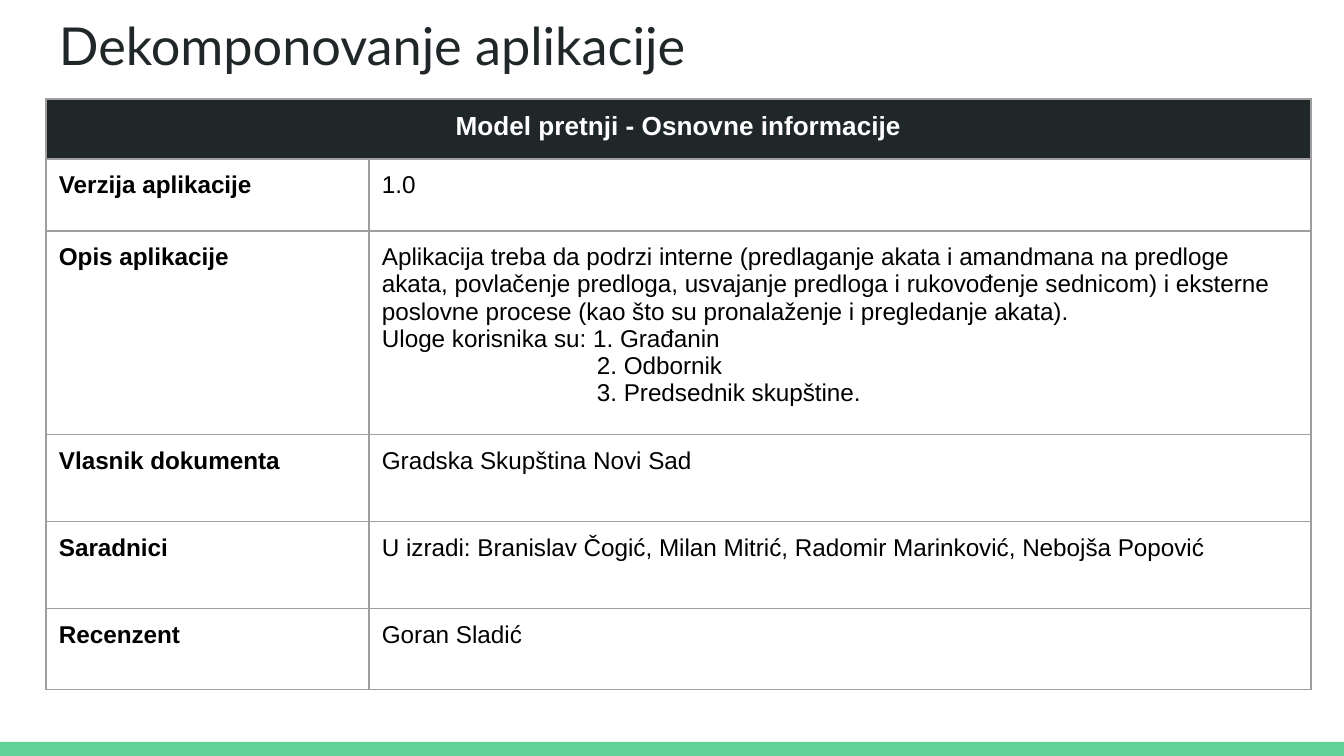
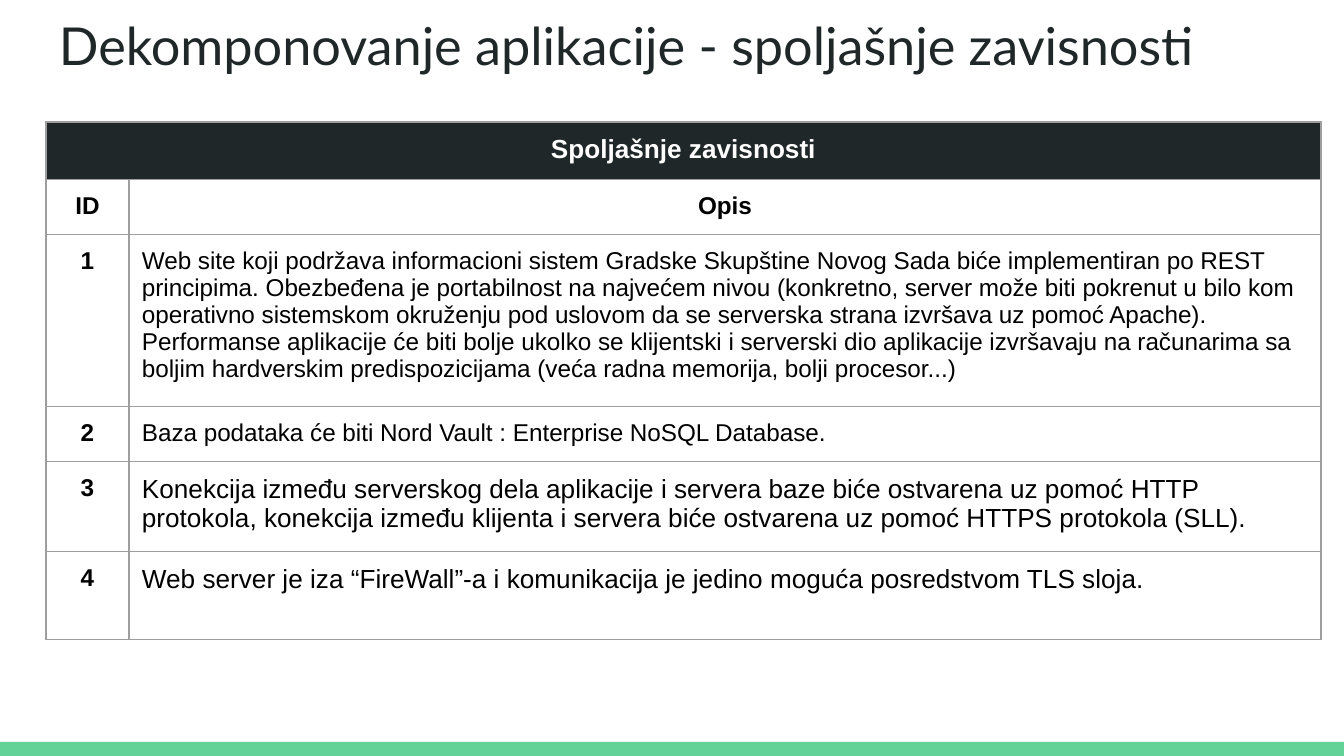
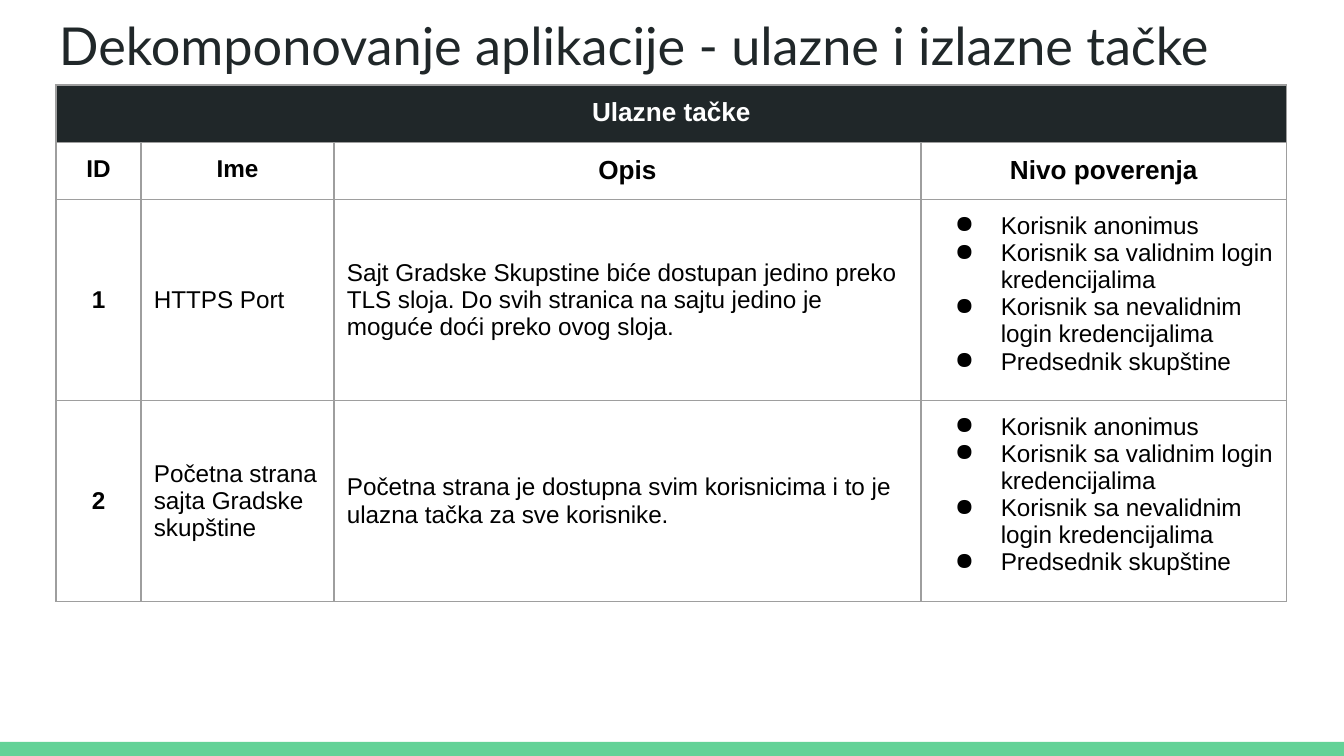
from lxml.etree import SubElement
from pptx import Presentation
from pptx.dml.color import RGBColor
from pptx.enum.shapes import MSO_SHAPE
from pptx.enum.text import MSO_ANCHOR, PP_ALIGN
from pptx.oxml import parse_xml
from pptx.oxml.ns import nsdecls, qn
from pptx.util import Emu, Pt

WIDTH, HEIGHT = 1344, 756


def px(length):
    return Emu(round(length * 914400 / 134.4))


def color(value):
    return RGBColor.from_string(value)


class Deck:
    DARK, GREEN, GRID = "202729", "63D297", "9E9E9E"
    WHITE, BLACK = "FFFFFF", "000000"
    TITLE_FONT, BODY_FONT = "Lato", "Arial"
    INSET = 13

    def __init__(self):
        self.prs = Presentation()
        self.prs.slide_width, self.prs.slide_height = px(WIDTH), px(HEIGHT)
        self.slide = None
        self.grid = None

    def new_slide(self, title):
        self.slide = self.prs.slides.add_slide(self.prs.slide_layouts[6])
        self.band()
        self.title(title)

    def band(self):
        footer = self.slide.shapes.add_shape(
            MSO_SHAPE.RECTANGLE, 0, px(HEIGHT - 14), px(WIDTH), px(14))
        footer.shadow.inherit = False
        footer.fill.solid()
        footer.fill.fore_color.rgb = color(self.GREEN)
        footer.line.fill.background()

    def title(self, text):
        frame = self.slide.shapes.add_textbox(
            px(46), 0, px(1252), px(84)).text_frame
        frame.word_wrap = True
        self.inset(frame)
        frame.text = text
        self.style(frame.paragraphs[0], 28, self.DARK, font=self.TITLE_FONT)

    def inset(self, holder):
        holder.margin_left = holder.margin_right = px(self.INSET)
        holder.margin_top = holder.margin_bottom = px(self.INSET)

    def style(self, paragraph, size, ink, bold=False, font=BODY_FONT):
        paragraph.font.name = font
        paragraph.font.size = Pt(size)
        paragraph.font.bold = bold
        paragraph.font.color.rgb = color(ink)

    def table(self, left, top, widths, heights, heading):
        """Add an outlined grid whose first row is one dark heading."""
        self.grid = self.slide.shapes.add_table(
            len(heights), len(widths), px(left), px(top),
            px(sum(widths)), px(sum(heights))).table
        self.grid.first_row = self.grid.horz_banding = False
        for column, width in zip(self.grid.columns, widths):
            column.width = px(width)
        for row, height in zip(self.grid.rows, heights):
            row.height = px(height)
        for cell in self.grid.iter_cells():
            self.inset(cell)
            self.borders(cell)
            cell.fill.background()
        banner = self.grid.cell(0, 0)
        banner.merge(self.grid.cell(0, len(widths) - 1))
        banner.fill.solid()
        banner.fill.fore_color.rgb = color(self.DARK)
        self.cell(0, 0, heading, 14, True, center=True, ink=self.WHITE)

    def borders(self, cell):
        properties = cell._tc.get_or_add_tcPr()
        for side in ("lnL", "lnR", "lnT", "lnB"):
            properties.append(parse_xml(
                f'<a:{side} {nsdecls("a")} w="{Pt(0.75)}"><a:solidFill>'
                f'<a:srgbClr val="{self.GRID}"/></a:solidFill></a:{side}>'))

    def cell(self, row, column, text, size=13, bold=False, center=False,
             middle=False, ink=BLACK):
        cell = self.grid.cell(row, column)
        cell.text = text
        cell.vertical_anchor = MSO_ANCHOR.MIDDLE if middle else MSO_ANCHOR.TOP
        for paragraph in cell.text_frame.paragraphs:
            paragraph.alignment = PP_ALIGN.CENTER if center else PP_ALIGN.LEFT
            self.style(paragraph, size, ink, bold)
        return cell.text_frame.paragraphs

    def indent(self, paragraph, left, hanging=0):
        properties = paragraph._p.get_or_add_pPr()
        properties.set("marL", str(px(left)))
        properties.set("indent", str(px(-hanging)))
        return properties

    def bullets(self, row, column, items):
        cell = self.grid.cell(row, column)
        cell.text = "\n".join(items)
        for paragraph in cell.text_frame.paragraphs:
            properties = self.indent(paragraph, 67, 46)
            SubElement(properties, qn("a:buChar")).set("char", "●")
            self.style(paragraph, 13, self.BLACK)


def basic_information(deck):
    deck.new_slide("Dekomponovanje aplikacije")
    deck.table(46, 99, [323, 942], [60, 72, 204, 87, 87, 81],
               "Model pretnji - Osnovne informacije")
    facts = [
        ("Verzija aplikacije", "1.0"),
        ("Opis aplikacije",
         "Aplikacija treba da podrzi interne (predlaganje akata i amandmana "
         "na predloge akata, povlačenje predloga, usvajanje predloga i "
         "rukovođenje sednicom) i eksterne poslovne procese (kao što su "
         "pronalaženje i pregledanje akata).\n"
         "Uloge korisnika su: 1. Građanin\n"
         "2. Odbornik\n"
         "3. Predsednik skupštine."),
        ("Vlasnik dokumenta", "Gradska Skupština Novi Sad"),
        ("Saradnici", "U izradi: Branislav Čogić, Milan Mitrić, "
                      "Radomir Marinković, Nebojša Popović"),
        ("Recenzent", "Goran Sladić"),
    ]
    for row, (label, value) in enumerate(facts, 1):
        deck.cell(row, 0, label, bold=True)
        # Later user roles line up under the first one
        for role in deck.cell(row, 1, value)[2:]:
            deck.indent(role, 215)


def external_dependencies(deck):
    deck.new_slide("Dekomponovanje aplikacije - spoljašnje zavisnosti")
    deck.table(46, 122, [83, 1192], [56, 55, 168, 54, 90, 88],
               "Spoljašnje zavisnosti")
    for column, label in enumerate(["ID", "Opis"]):
        deck.cell(1, column, label, bold=True, center=True)
    dependencies = [
        ("Web site koji podržava informacioni sistem Gradske Skupštine Novog "
         "Sada biće implementiran po REST principima. Obezbeđena je "
         "portabilnost na najvećem nivou (konkretno, server može biti "
         "pokrenut u bilo kom operativno sistemskom okruženju pod uslovom da "
         "se serverska strana izvršava uz pomoć Apache). Performanse "
         "aplikacije će biti bolje ukolko se klijentski i serverski dio "
         "aplikacije izvršavaju na računarima sa boljim hardverskim "
         "predispozicijama (veća radna memorija, bolji procesor...)", 13),
        ("Baza podataka će biti Nord Vault : Enterprise NoSQL Database.", 13),
        ("Konekcija između serverskog dela aplikacije i servera baze biće "
         "ostvarena uz pomoć HTTP protokola, konekcija između klijenta i "
         "servera biće ostvarena uz pomoć HTTPS protokola (SLL).", 14),
        ("Web server je iza “FireWall”-a i komunikacija je jedino moguća "
         "posredstvom TLS sloja.", 14),
    ]
    for number, (description, size) in enumerate(dependencies, 1):
        deck.cell(number + 1, 0, str(number), bold=True, center=True)
        deck.cell(number + 1, 1, description, size)


def entry_points(deck):
    deck.new_slide("Dekomponovanje aplikacije - ulazne i izlazne tačke")
    deck.table(56, 85, [85, 193, 587, 366], [56, 56, 199, 199],
               "Ulazne tačke")
    headers = [("ID", 13), ("Ime", 13), ("Opis", 14), ("Nivo poverenja", 14)]
    for column, (label, size) in enumerate(headers):
        deck.cell(1, column, label, size, True, center=True)
    trust_levels = [
        "Korisnik anonimus",
        "Korisnik sa validnim login kredencijalima",
        "Korisnik sa nevalidnim login kredencijalima",
        "Predsednik skupštine",
    ]
    points = [
        ("HTTPS Port",
         "Sajt Gradske Skupstine biće dostupan jedino preko TLS sloja. Do "
         "svih stranica na sajtu jedino je moguće doći preko ovog sloja."),
        ("Početna strana sajta Gradske skupštine",
         "Početna strana je dostupna svim korisnicima i to je ulazna tačka "
         "za sve korisnike."),
    ]
    for number, (name, description) in enumerate(points, 1):
        row = number + 1
        deck.cell(row, 0, str(number), bold=True, center=True, middle=True)
        deck.cell(row, 1, name, middle=True)
        deck.cell(row, 2, description, middle=True)
        deck.bullets(row, 3, trust_levels)


def main():
    deck = Deck()
    basic_information(deck)
    external_dependencies(deck)
    entry_points(deck)
    deck.prs.save("out.pptx")


if __name__ == "__main__":
    main()
